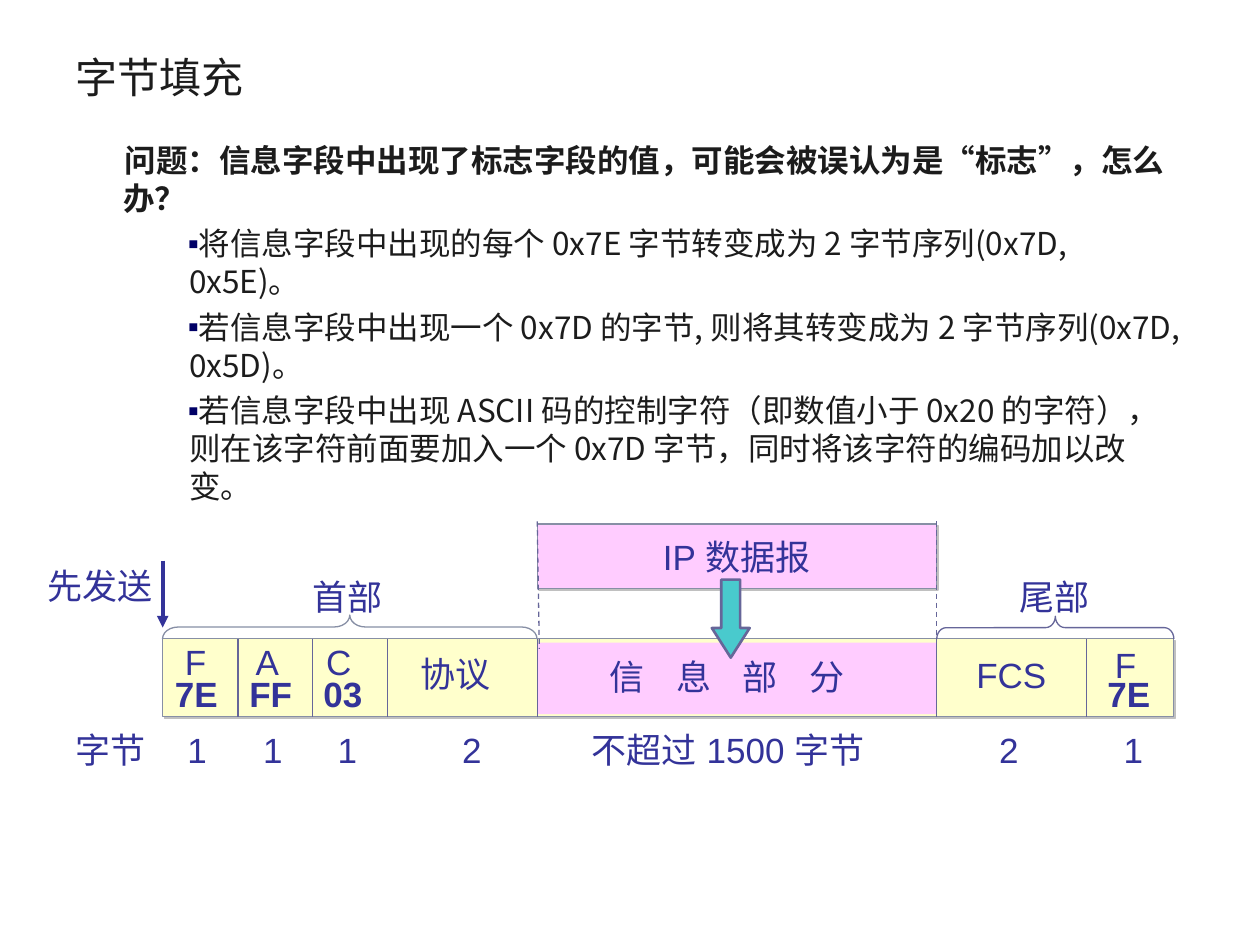
from pptx import Presentation
from pptx import util as u
from pptx.dml import color as col
from pptx.enum import dml, shapes, text
from pptx.oxml import ns, parse_xml
from lxml import etree

Pt = u.Pt
rgb = col.RGBColor.from_string
theme = {
    "dark": "1C1C1C", "blue": "333399", "navy": "000066", "edge": "878FA5",
    "rule": "666699", "pink": "FFCCFF", "cream": "FFFFCC", "teal": "49CACD",
    "shade": "C0C0C0", "head": 24, "body": 18, "label": 20,
    "sans": "Arial", "cjk": "Noto Sans CJK SC",
}


def put(obj, vals):
    for key, val in vals.items():
        setattr(obj, key, val)


def ink(par, words, size, face, tint, bold=False):
    run = par.add_run()
    run.text = words
    put(run.font, {"size": Pt(theme[size]), "name": theme[face], "bold": bold})
    run.font.color.rgb = rgb(theme[tint])
    props = run.font._element
    etree.SubElement(props, ns.qn("a:ea"), typeface=theme[face])
    return props


deck = Presentation()
put(deck, {"slide_width": Pt(720), "slide_height": Pt(540)})
slide = deck.slides.add_slide(deck.slide_layouts[5])
pool = slide.shapes

title = pool.title
put(title, {"left": Pt(36), "top": Pt(21.6), "width": Pt(648), "height": Pt(44)})
title.text_frame.vertical_anchor = text.MSO_ANCHOR.MIDDLE
par = title.text_frame.paragraphs[0]
par.alignment = text.PP_ALIGN.LEFT
ink(par, "字节填充", "head", "cjk", "dark")

body = pool.add_textbox(Pt(36), Pt(77), Pt(648), Pt(376.6)).text_frame
body.word_wrap = True
points = [
    "问题：信息字段中出现了标志字段的值，可能会被误认为是“标志”，怎么办？",
    "将信息字段中出现的每个 0x7E 字节转变成为 2 字节序列(0x7D, 0x5E)。",
    "若信息字段中出现一个 0x7D 的字节, 则将其转变成为 2 字节序列(0x7D, 0x5D)。",
    "若信息字段中出现 ASCII 码的控制字符（即数值小于 0x20 的字符），则在该字符前面要加入一个 0x7D 字节，同时将该字符的编码加以改变。",
]
for num, words in enumerate(points):
    par = body.paragraphs[0] if num == 0 else body.add_paragraph()
    props = par._p.get_or_add_pPr()
    left, dent = (65, -0.75) if num else (27.4, 0.75)
    props.set("marL", str(Pt(left)))
    props.set("indent", str(Pt(dent)))
    props.set("hangingPunct", "0")
    if num:
        tint = etree.SubElement(props, ns.qn("a:buClr"))
        etree.SubElement(tint, ns.qn("a:srgbClr"), val=theme["navy"])
        etree.SubElement(props, ns.qn("a:buFont"), typeface=theme["sans"])
        etree.SubElement(props, ns.qn("a:buChar"), char="▪")
        put(par, {"level": 1, "space_before": Pt(4.5)})
    ink(par, words, "body", "cjk", "dark", num == 0)

kind = shapes.MSO_SHAPE
edges = [93, 136, 178.5, 221.25, 307, 535, 620.75, 670.5]
start, info, tail, stop = edges[0], edges[4], edges[5], edges[-1]
brace = kind.LEFT_BRACE
forms = [
    (kind.RECTANGLE, info, 299.5, tail - info, 36.7, "pink", "edge", 0.75, True, []),
    (kind.RECTANGLE, start, 365, stop - start, 44.6, "cream", "edge", 0.75, True, []),
    (kind.RECTANGLE, info, 367.2, tail - info, 41, "pink", None, 0, False, []),
    (brace, 193, 251.3, 13.7, info - start, None, "edge", 0.75, False, [0.65, 0.5]),
    (brace, 596.5, 290.9, 13, stop - tail, None, "rule", 0.75, False, [0.42, 0.5]),
    (kind.DOWN_ARROW, 406.8, 331.2, 21.6, 44.6, "teal", "rule", 1.5, False, [0.5, 0.783]),
]
made = []
for form, x, y, w, h, fill, line, thick, shade, adj in forms:
    shape = pool.add_shape(form, Pt(x), Pt(y), Pt(w), Pt(h))
    shape.shadow.inherit = False
    for spot, val in enumerate(adj):
        shape.adjustments[spot] = val
    if form == brace:
        shape.rotation = 90
    if fill:
        shape.fill.solid()
        shape.fill.fore_color.rgb = rgb(theme[fill])
    else:
        shape.fill.background()
    if line:
        shape.line.color.rgb = rgb(theme[line])
        shape.line.width = Pt(thick)
    else:
        shape.line.fill.background()
    if shade:
        glow = shape._element.spPr.find(ns.qn("a:effectLst"))
        glow.append(parse_xml(
            f'<a:outerShdw {ns.nsdecls("a")} blurRad="0" dist="{Pt(1.4)}" dir="2700000" '
            f'algn="ctr" rotWithShape="0"><a:srgbClr val="{theme["shade"]}"/></a:outerShdw>'))
    made.append(shape)
frame = made[0].text_frame
put(frame, {"word_wrap": False, "vertical_anchor": text.MSO_ANCHOR.MIDDLE})
frame.paragraphs[0].alignment = text.PP_ALIGN.CENTER
ink(frame.paragraphs[0], "IP 数据报", "label", "sans", "blue")

rules = [(x, 365.4, x, 409.7, "rule", 0.75, None) for x in edges[1:-1]]
rules += [
    (info, 298, 308.2, 370.8, "rule", 0.75, "dash"),
    (tail, 298, tail, 368.6, "rule", 0.75, "dash"),
    (start, 320.4, start, 358.6, "blue", 2.25, "arrow"),
]
for x, y, right, low, tint, thick, style in rules:
    rule = pool.add_connector(shapes.MSO_CONNECTOR.STRAIGHT, Pt(x), Pt(y), Pt(right), Pt(low))
    rule.line.color.rgb = rgb(theme[tint])
    rule.line.width = Pt(thick)
    if style == "dash":
        rule.line.dash_style = dml.MSO_LINE.DASH
    if style == "arrow":
        etree.SubElement(rule.line._get_or_add_ln(), ns.qn("a:tailEnd"), type="triangle")
    etree.SubElement(rule._element.spPr, ns.qn("a:effectLst"))

count, code, upper = 412.6, 380.9, 362.2
labels = [
    ("字节", 36, count, 56), ("1", 100, count, 27), ("1", 143.3, count, 27),
    ("1", 185.8, count, 27), ("2", 257, count, 27), ("不超过 1500 字节", 331, count, 182),
    ("2", 563.8, count, 27), ("1", 635, count, 27),
    ("7E", 92.9, code, 41), ("FF", 135.4, code, 41), ("03", 177.8, code, 39), ("7E", 625.7, code, 41),
    ("F", 98.6, upper, 28), ("A", 139, upper, 29), ("C", 179.3, upper, 30),
    ("F", 630, 364.3, 28), ("FCS", 550.8, 370, 56), ("协议", 233.3, 369.4, 56),
    ("信 息 部 分", 341.3, 370.8, 150),
    ("先发送", 20.2, 319, 76), ("首部", 171.4, 325.4, 56), ("尾部", 575.3, 325.4, 56),
]
for words, x, y, w in labels:
    frame = pool.add_textbox(Pt(x), Pt(y), Pt(w), Pt(31.7)).text_frame
    put(frame, {"word_wrap": False, "auto_size": text.MSO_AUTO_SIZE.SHAPE_TO_FIT_TEXT})
    props = ink(frame.paragraphs[0], words, "label", "sans", "blue", y == code)
    if words.startswith("信"):
        props.set("spc", "620")

deck.save("out.pptx")
